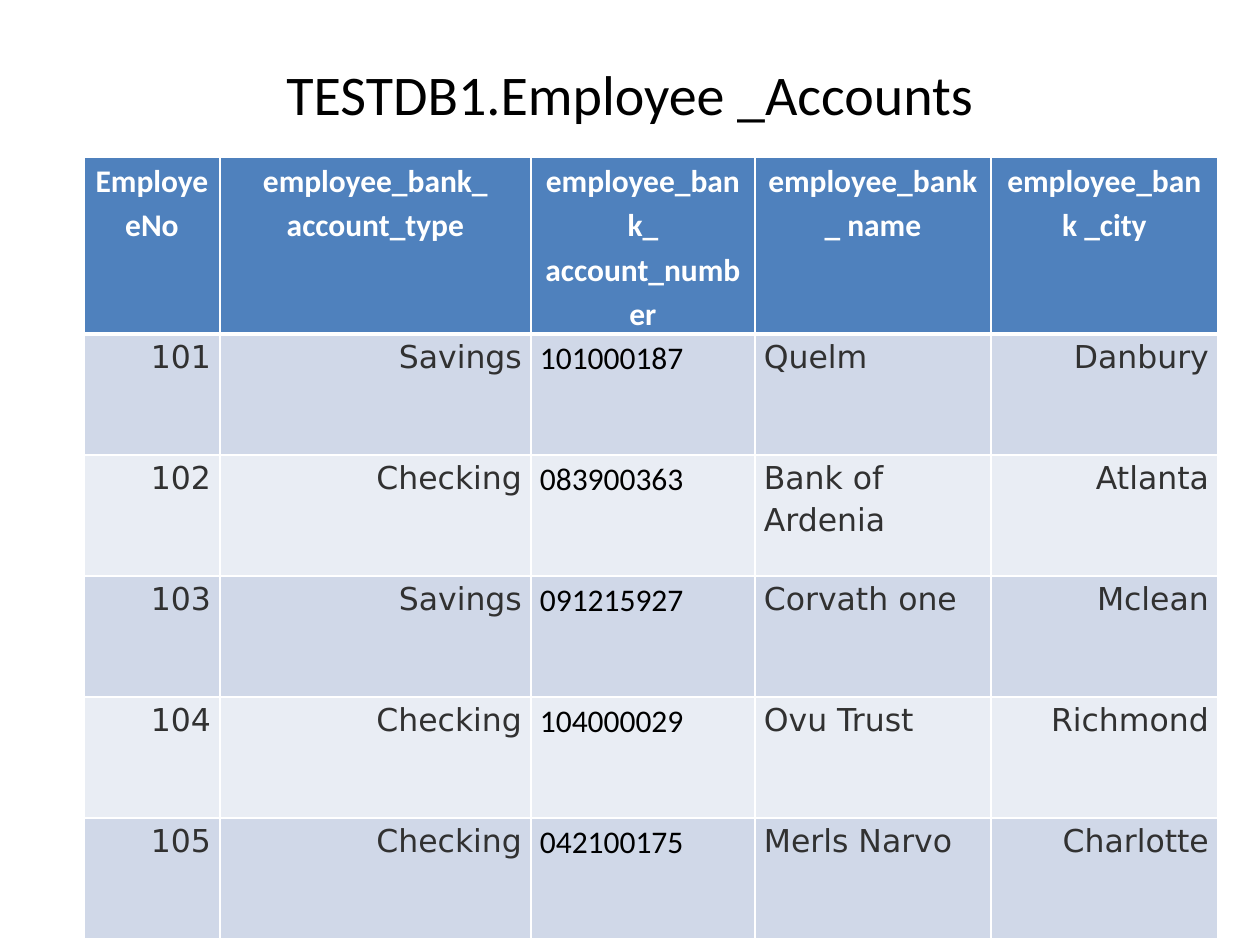
"""Build the employee bank accounts table slide."""
from dataclasses import dataclass

from lxml.etree import SubElement
from pptx import Presentation
from pptx.dml.color import RGBColor
from pptx.enum.text import MSO_VERTICAL_ANCHOR as Anchor, PP_PARAGRAPH_ALIGNMENT as Align
from pptx.oxml.ns import qn
from pptx.util import Pt

EMU_PER_PIXEL = 914400 / 126
WHITE, BLACK, GRAY = "FFFFFF", "000000", "313131"
HEADER_BLUE, BANDS = "4F81BD", ("D0D8E8", "E9EDF4")


@dataclass(frozen=True)
class Field:
    heading: str
    width: int
    align: Align = Align.RIGHT
    font: str = "DejaVu Sans"
    color: str = GRAY


FIELDS = (
    Field("EmployeeNo", 136),
    Field("employee_bank_ account_type", 311),
    Field("employee_bank_ account_number", 224, Align.LEFT, "Calibri", BLACK),
    Field("employee_bank_ name", 236, Align.LEFT),
    Field("employee_bank _city", 227),
)
ACCOUNTS = (
    ("101", "Savings", "101000187", "Quelm", "Danbury"),
    ("102", "Checking", "083900363", "Bank of Ardenia", "Atlanta"),
    ("103", "Savings", "091215927", "Corvath one", "Mclean"),
    ("104", "Checking", "104000029", "Ovu Trust", "Richmond"),
    ("105", "Checking", "042100175", "Merls Narvo", "Charlotte"),
)
HEADER_HEIGHT, ACCOUNT_HEIGHT = 111, 121


def px(pixels: int) -> int:
    return round(pixels * EMU_PER_PIXEL)


def rgb(color: str) -> RGBColor:
    return RGBColor.from_string(color)


def write(frame, text: str, *, size: int = 18, font: str = "Calibri", color: str = BLACK,
          align: Align = Align.CENTER, bold: bool = False, spacing: float = 1.0,
          after: int = 0) -> None:
    paragraph = frame.paragraphs[0]
    paragraph.alignment = align
    paragraph.line_spacing = spacing
    paragraph.space_before = Pt(0)
    paragraph.space_after = Pt(after)
    run = paragraph.add_run()
    run.text = text
    run.font.size, run.font.name, run.font.bold = Pt(size), font, bold
    run.font.color.rgb = rgb(color)


def style_cell(cell, fill: str, top: int = 1, bottom: int = 1) -> None:
    cell.margin_left = cell.margin_right = px(9)
    cell.margin_top = cell.margin_bottom = 0
    cell.vertical_anchor = Anchor.TOP
    properties = cell._tc.get_or_add_tcPr()
    for side, width in (("L", 1), ("R", 1), ("T", top), ("B", bottom)):
        border = SubElement(properties, qn(f"a:ln{side}"), w=str(Pt(width)))
        SubElement(SubElement(border, qn("a:solidFill")), qn("a:srgbClr"), val=WHITE)
    cell.fill.solid()
    cell.fill.fore_color.rgb = rgb(fill)


def add_title(slide, text: str) -> None:
    title = slide.shapes.title
    title.left, title.top, title.width, title.height = map(px, (63, 38, 1134, 110))
    title.text_frame.vertical_anchor = Anchor.MIDDLE
    write(title.text_frame, text, size=32)


def add_accounts(slide) -> None:
    width = sum(field.width for field in FIELDS)
    height = HEADER_HEIGHT + ACCOUNT_HEIGHT * len(ACCOUNTS)
    table = slide.shapes.add_table(len(ACCOUNTS) + 1, len(FIELDS),
                                   px(84), px(157), px(width), px(height)).table
    table.rows[0].height = px(HEADER_HEIGHT)
    for column, field in enumerate(FIELDS):
        table.columns[column].width = px(field.width)
        heading = table.cell(0, column)
        style_cell(heading, HEADER_BLUE, bottom=3)
        write(heading.text_frame, field.heading, color=WHITE, bold=True, spacing=1.15)
    for row, account in enumerate(ACCOUNTS, 1):
        table.rows[row].height = px(ACCOUNT_HEIGHT)
        for column, (field, value) in enumerate(zip(FIELDS, account)):
            cell = table.cell(row, column)
            style_cell(cell, BANDS[(row - 1) % 2], top=3 if row == 1 else 1)
            write(cell.text_frame, value, font=field.font, color=field.color,
                  align=field.align, spacing=1.15,
                  after=10 if row < len(ACCOUNTS) else 0)


def main() -> None:
    deck = Presentation()
    deck.slide_width, deck.slide_height = px(1260), px(945)
    slide = deck.slides.add_slide(deck.slide_layouts[5])
    add_title(slide, "TESTDB1.Employee _Accounts")
    add_accounts(slide)
    deck.save("out.pptx")


main()
